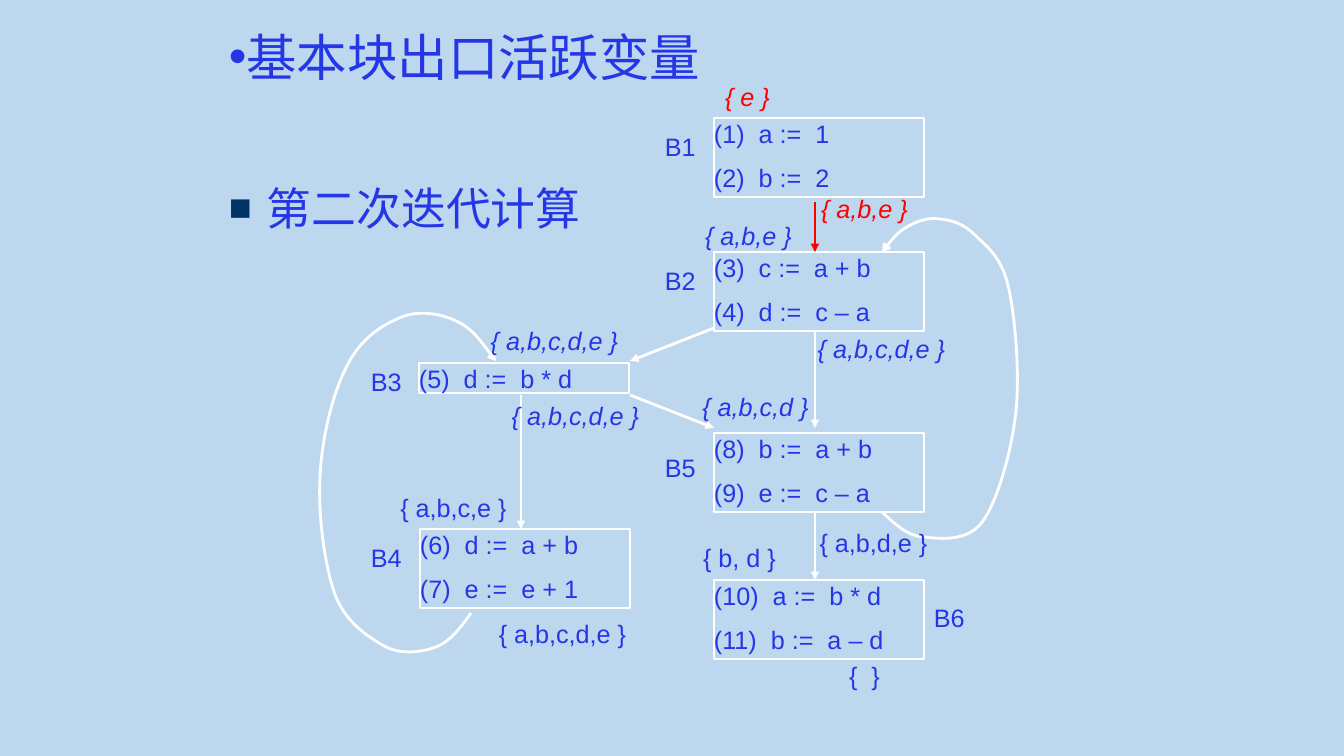
from lxml.etree import SubElement as Sub
from pptx import Presentation
from pptx.dml.color import RGBColor as RGB
from pptx.enum.shapes import MSO_CONNECTOR as Link, MSO_SHAPE as Form
from pptx.enum.text import MSO_ANCHOR as Anchor, PP_ALIGN as Align
from pptx.oxml.ns import qn
from pptx.util import Pt

PX = 914400 / 100.8
SKY = RGB(0xBD, 0xD7, 0xEE)
BLUE = RGB(0x24, 0x36, 0xE6)
NAVY = RGB(0x00, 0x33, 0x66)
RED = RGB(0xFF, 0x00, 0x00)
WHITE = RGB(0xFF, 0xFF, 0xFF)

BOX_W, BOX_H, ROW_H = 210, 79, 30
TAG_W, SET_W, TEXT_H = 67, 151, 40
FLUSH = dict.fromkeys(
    ("margin_left", "margin_top", "margin_right", "margin_bottom"), 0)

# Basic blocks: name, box corner, label corner, statements
BLOCKS = [
    ("B1", (714, 118), (655, 126), ["(1)  a :=  1", "(2)  b :=  2"]),
    ("B2", (714, 252), (655, 260), ["(3)  c :=  a + b", "(4)  d :=  c – a"]),
    ("B5", (714, 433), (655, 447), ["(8)  b :=  a + b", "(9)  e :=  c – a"]),
    ("B3", (419, 363), (361, 361), ["(5)  d :=  b * d"]),
    ("B4", (420, 529), (361, 537), ["(6)  d :=  a + b", "(7)  e :=  e + 1"]),
    ("B6", (714, 580), (924, 597), ["(10)  a :=  b * d", "(11)  b :=  a – d"]),
]

# Straight edges: from, to, colour
EDGES = [
    ((815, 202), (815, 252), RED),
    ((815, 331), (815, 428), WHITE),
    ((815, 512), (815, 580), WHITE),
    ((714, 328), (630, 361), WHITE),
    ((630, 395), (714, 428), WHITE),
    ((521, 395), (521, 529), WHITE),
]

# Back edges: start point, then three points for each Bezier piece
LOOPS = [
    [(471, 613), (461, 627), (451, 641), (436, 647),
     (422, 652), (403, 655), (386, 647), (370, 638), (347, 624), (336, 597),
     (325, 569), (318, 516), (320, 479), (321, 442), (332, 396), (345, 370),
     (357, 343), (377, 328), (395, 320), (413, 310), (436, 312), (454, 320),
     (471, 327), (483, 344), (496, 361)],
    [(882, 512), (895, 524), (907, 536), (924, 537),
     (941, 539), (968, 542), (983, 521), (998, 500), (1012, 450), (1016, 411),
     (1020, 372), (1015, 314), (1008, 285), (1001, 256), (986, 246), (975, 235),
     (964, 224), (952, 220), (940, 219), (929, 217), (917, 221), (907, 227),
     (897, 233), (890, 242), (882, 252)],
]

# Live variable sets: text, corner, italic, colour
SETS = [
    ("{  }", (789, 655), False, BLUE),
    ("{ b, d }", (664, 537), False, BLUE),
    ("{ a,b,d,e }", (798, 522), False, BLUE),
    ("{ a,b,c,d }", (680, 386), True, BLUE),
    ("{ a,b,c,d,e }", (487, 613), False, BLUE),
    ("{ a,b,c,e }", (378, 487), False, BLUE),
    ("{ a,b,c,d,e }", (500, 395), True, BLUE),
    ("{ a,b,c,d,e }", (479, 320), True, BLUE),
    ("{ a,b,c,d,e }", (806, 328), True, BLUE),
    ("{ a,b,e }", (673, 215), True, BLUE),
    ("{ a,b,e }", (789, 188), True, RED),
    ("{ e }", (672, 76), True, RED),
]


def emu(*vals):
    return [round(v * PX) for v in vals]


def put(item, form):
    for key, val in form.items():
        setattr(item, key, val)


def write(frame, lines, size=18, color=BLUE, italic=False, align=Align.LEFT,
          **form):
    put(frame, {"word_wrap": True, "vertical_anchor": Anchor.TOP, **form})
    for num, line in enumerate(lines):
        para = frame.add_paragraph() if num else frame.paragraphs[0]
        put(para, {"alignment": align, "space_before": Pt(10 if num else 0)})
        run = para.add_run()
        run.text = line
        put(run.font, {"name": "Arial", "size": Pt(size), "italic": italic})
        run.font.color.rgb = color


def label(slide, text, x, y, w, h=TEXT_H, **form):
    frame = slide.shapes.add_textbox(*emu(x, y, w, h)).text_frame
    write(frame, [text], **form)
    return frame.paragraphs[0]


def bullet(para, char, indent=0, color=None, size=100):
    props = para._p.get_or_add_pPr()
    left, = emu(indent)
    props.set("marL", str(left))
    props.set("indent", str(-left))
    if color:
        Sub(Sub(props, qn("a:buClr")), qn("a:srgbClr"), val=str(color))
    Sub(props, qn("a:buSzPct"), val=str(size * 1000))
    Sub(props, qn("a:buFont"), typeface="Arial")
    Sub(props, qn("a:buChar"), char=char)


def stroke(shape, color):
    shape.line.color.rgb = color
    shape.line.width = Pt(2)


def point(shape, head):
    Sub(shape.line._get_or_add_ln(), qn("a:tailEnd"), type=head)


def block(slide, name, spot, tag, code):
    high = BOX_H if len(code) > 1 else ROW_H
    box = slide.shapes.add_shape(Form.RECTANGLE, *emu(*spot, BOX_W, high))
    box.shadow.inherit = False
    box.fill.background()
    stroke(box, WHITE)
    write(box.text_frame, code, **FLUSH)
    label(slide, name, *tag, TAG_W)


def edge(slide, start, end, color):
    line = slide.shapes.add_connector(Link.STRAIGHT, *emu(*start, *end))
    stroke(line, color)
    point(line, "triangle")
    Sub(line._element.spPr, qn("a:effectLst"))


def loop(slide, spots):
    pen = slide.shapes.build_freeform(*spots[0], scale=PX)
    pen.add_line_segments(spots[1:], close=False)
    curve = pen.convert_to_shape()
    curve.shadow.inherit = False
    curve.fill.background()
    stroke(curve, WHITE)
    point(curve, "arrow")
    # Join every three line ends into one Bezier piece
    ends = list(curve._element.iter(qn("a:lnTo")))
    for num in range(0, len(ends), 3):
        trio = ends[num:num + 3]
        piece = Sub(trio[0].getparent(), qn("a:cubicBezTo"))
        for end in trio:
            piece.append(end[0])
            end.getparent().remove(end)


def main():
    deck = Presentation()
    deck.slide_width, deck.slide_height = emu(1344, 756)
    slide = deck.slides.add_slide(deck.slide_layouts[6])
    fill = slide.background.fill
    fill.solid()
    fill.fore_color.rgb = SKY

    # Headings
    title = label(slide, "基本块出口活跃变量", 219, 30, 907, 53, size=36,
                  vertical_anchor=Anchor.MIDDLE)
    bullet(title, "•")
    topic = label(slide, "第二次迭代计算", 219, 176, 907, 499, size=32)
    bullet(topic, "■", 38, NAVY, 85)

    # Flow graph
    for item in BLOCKS:
        block(slide, *item)
    for item in EDGES:
        edge(slide, *item)
    for spots in LOOPS:
        loop(slide, spots)

    # Live variables
    for text, spot, italic, color in SETS:
        label(slide, text, *spot, SET_W, italic=italic, color=color,
              align=Align.CENTER)

    deck.save("out.pptx")


if __name__ == "__main__":
    main()
